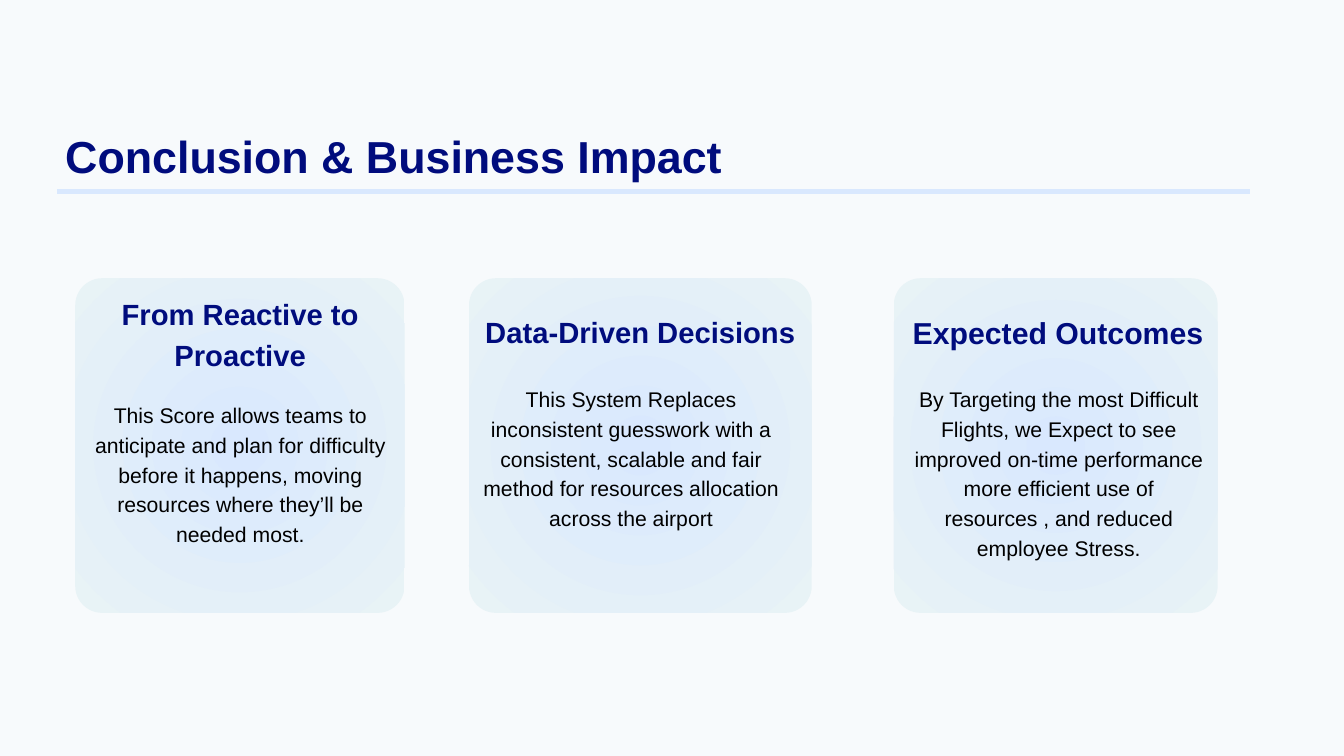
from dataclasses import dataclass

from lxml.etree import SubElement
from pptx import Presentation
from pptx.dml.color import RGBColor
from pptx.enum.shapes import MSO_CONNECTOR, MSO_SHAPE
from pptx.enum.text import PP_ALIGN
from pptx.oxml import parse_xml
from pptx.oxml.ns import nsdecls, qn
from pptx.util import Inches, Pt

COLORS = {
    "back": "F7FAFC",
    "navy": "000C7D",
    "black": "000000",
    "blue": "D9E8FE",
    "mint": "E8F3F6",
}
FONT = "Arial"
LEADING = 1.4
CARD_TOP, CARD_HEIGHT, RADIUS = 4.14, 4.98, 0.4


@dataclass
class Box:
    left: float
    top: float
    width: float
    height: float


@dataclass
class Label:
    box: Box
    lines: list[str]
    size: float
    color: str = "black"
    bold: bool = False


@dataclass
class Card:
    left: float
    width: float
    head: Label
    body: Label


TITLE = Label(Box(0.85, 1.78, 10.02, 0.92), ["Conclusion & Business Impact"],
              48, "navy", True)

CARDS = [
    Card(1.12, 4.9,
         Label(Box(1.81, 4.33, 3.53, 1.21), ["From Reactive to", "Proactive"],
               31.3, "navy", True),
         Label(Box(1.28, 5.93, 4.59, 2.19),
               ["This Score allows teams to anticipate and plan for difficulty "
                "before it happens, moving resources where they’ll be needed most."],
               22.7)),
    Card(6.98, 5.1,
         Label(Box(6.98, 4.59, 5.1, 0.6), ["Data-Driven Decisions"],
               31.3, "navy", True),
         Label(Box(7.12, 5.69, 4.54, 2.19),
               ["This System Replaces inconsistent guesswork with a consistent, "
                "scalable and fair method for resources allocation across the airport"],
               22.7)),
    Card(13.3, 4.82,
         Label(Box(13.58, 4.58, 4.33, 0.63), ["Expected Outcomes"],
               32.4, "navy", True),
         Label(Box(13.52, 5.69, 4.47, 2.19),
               ["By Targeting the most Difficult Flights, we Expect to see improved "
                "on-time performance more efficient use of resources , and reduced "
                "employee Stress."],
               22.7)),
]


def color(name: str) -> RGBColor:
    return RGBColor.from_string(COLORS[name])


def add_label(slide, label: Label) -> None:
    box = label.box
    frame = slide.shapes.add_textbox(
        Inches(box.left), Inches(box.top), Inches(box.width), Inches(box.height)
    ).text_frame
    frame.word_wrap = True
    frame.margin_left = frame.margin_right = 0
    frame.margin_top = frame.margin_bottom = 0
    frame.text = "\n".join(label.lines)
    for para in frame.paragraphs:
        para.alignment = PP_ALIGN.CENTER
        para.line_spacing = Pt(round(label.size * LEADING, 1))
        para.font.name = FONT
        para.font.size = Pt(label.size)
        para.font.bold = label.bold
        para.font.color.rgb = color(label.color)


def add_panel(slide, card: Card) -> None:
    """Draw a rounded card whose colour fades outward from its centre."""
    panel = slide.shapes.add_shape(
        MSO_SHAPE.ROUNDED_RECTANGLE, Inches(card.left), Inches(CARD_TOP),
        Inches(card.width), Inches(CARD_HEIGHT))
    panel.adjustments[0] = RADIUS / min(card.width, CARD_HEIGHT)
    panel.shadow.inherit = False
    panel.line.fill.background()
    panel.fill.gradient()
    for stop, name, place in zip(panel.fill.gradient_stops, ("blue", "mint"), (0, 1)):
        stop.color.rgb = color(name)
        stop.position = place
    fade = panel.fill._xPr.find(qn("a:gradFill"))
    fade.replace(fade.find(qn("a:lin")), parse_xml(
        f'<a:path {nsdecls("a")} path="circle">'
        '<a:fillToRect l="50000" t="50000" r="50000" b="50000"/></a:path>'))


def add_rule(slide, left: float, right: float, top: float) -> None:
    rule = slide.shapes.add_connector(
        MSO_CONNECTOR.STRAIGHT, Inches(left), Inches(top), Inches(right), Inches(top))
    rule.line.color.rgb = color("blue")
    rule.line.width = Pt(6)
    SubElement(rule._element.spPr, qn("a:effectLst"))


def main() -> None:
    deck = Presentation()
    deck.slide_width, deck.slide_height = Inches(20), Inches(11.25)
    slide = deck.slides.add_slide(deck.slide_layouts[6])
    slide.background.fill.solid()
    slide.background.fill.fore_color.rgb = color("back")

    add_label(slide, TITLE)
    add_rule(slide, 0.85, 18.6, 2.85)
    for card in CARDS:
        add_panel(slide, card)
        add_label(slide, card.head)
        add_label(slide, card.body)
    deck.save("out.pptx")


if __name__ == "__main__":
    main()
